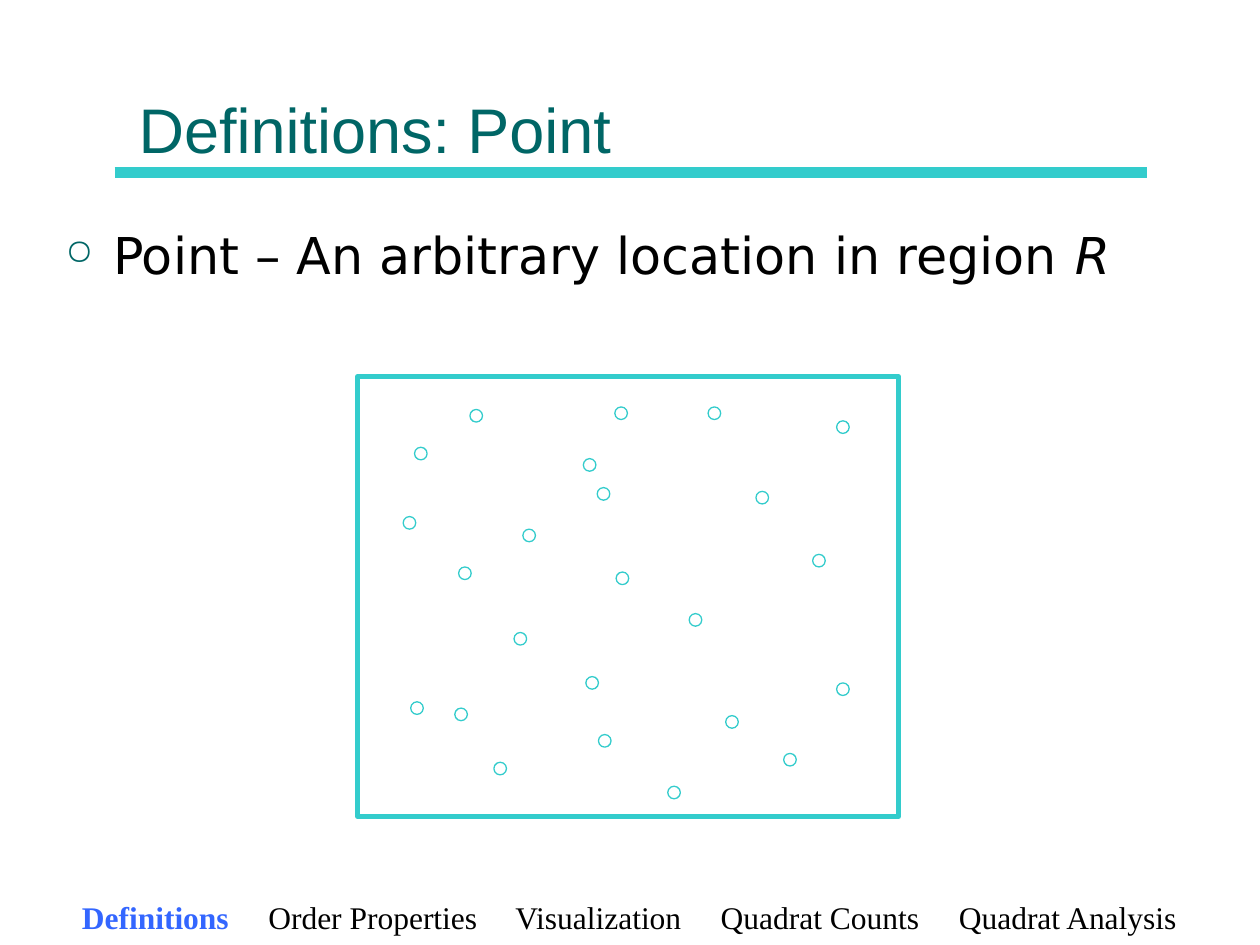
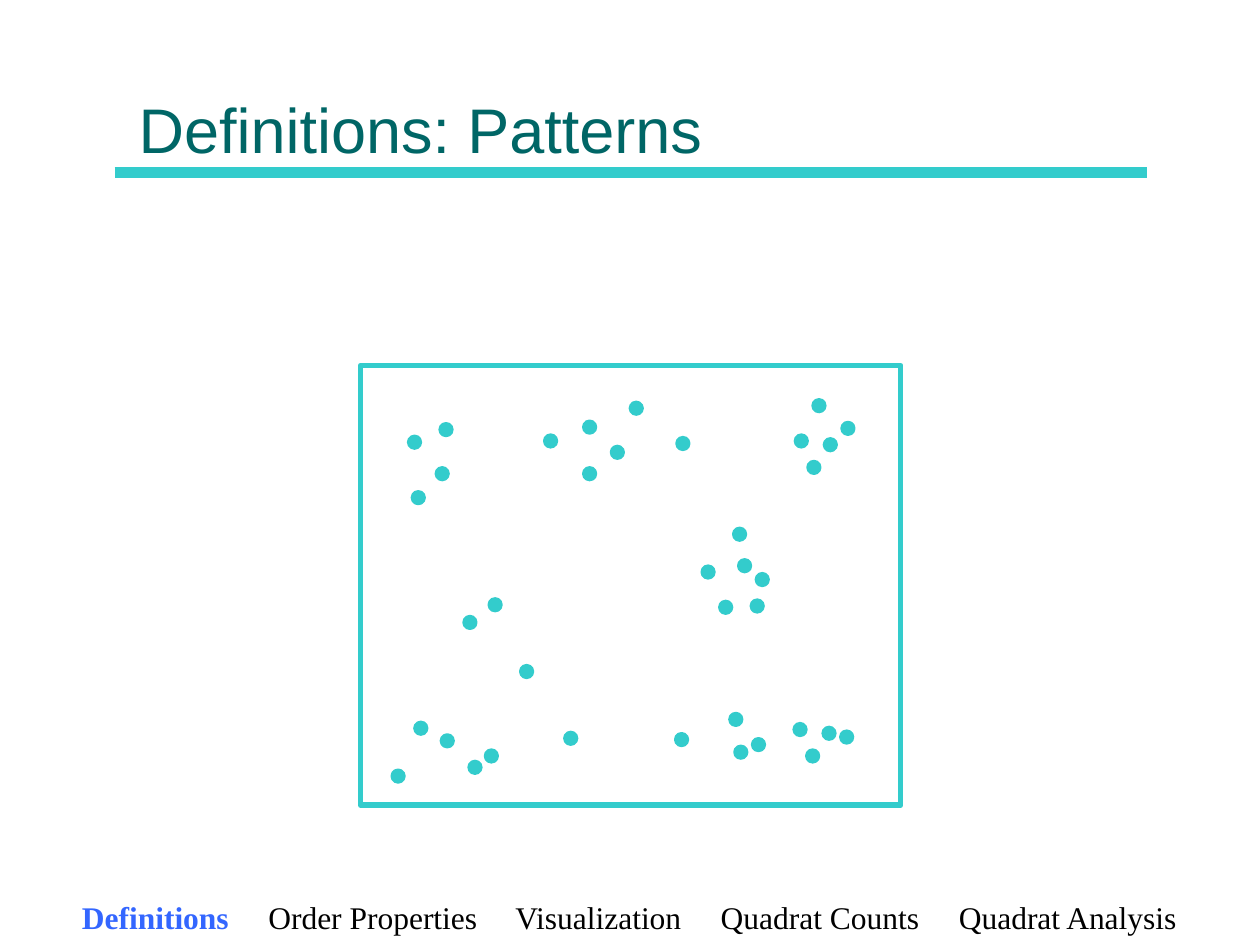
from dataclasses import dataclass
from lxml.etree import SubElement as Sub
from pptx import Presentation
from pptx.dml.color import RGBColor as Rgb
from pptx.enum.shapes import MSO_CONNECTOR as Link, MSO_SHAPE as Kind
from pptx.enum.text import MSO_ANCHOR as Anchor, MSO_AUTO_SIZE as Fit, PP_ALIGN as Align
from pptx.oxml.ns import qn
from pptx.util import Cm, Pt

INCH = 2.54
TABS = ("Definitions", "Order Properties", "Visualization", "Quadrat Counts", "Quadrat Analysis")
STOPS = (1.48, 3.44, 5.07, 6.96)

LOOSE = (
    (4.74, 3.87), (4.88, 3.23), (3.73, 3.25), (6.64, 3.34), (4.63, 3.64), (4.65, 5.37),
    (6.22, 5.98), (6, 3.9), (4.15, 4.2), (3.29, 3.55), (4.89, 4.54), (3.2, 4.1),
    (5.3, 6.24), (5.62, 3.23), (4.08, 5.02), (5.76, 5.68), (5.47, 4.87), (4.75, 5.83),
    (6.64, 5.42), (6.45, 4.4), (3.64, 4.5), (3.92, 6.05), (3.61, 5.62), (3.26, 5.57),
)
GROUPED = (
    (3.49, 3.36), (3.46, 3.71), (3.24, 3.46), (3.27, 3.9),
    (4.32, 3.45), (4.63, 3.71), (4.63, 3.34), (4.85, 3.54), (5, 3.19), (5.37, 3.47),
    (6.68, 3.35), (6.31, 3.45), (6.45, 3.17), (6.41, 3.66), (6.54, 3.48),
    (6, 4.55), (5.96, 4.76), (5.57, 4.49), (5.86, 4.44), (5.71, 4.77), (5.82, 4.19),
    (3.88, 4.75), (3.68, 4.89), (4.13, 5.28),
    (3.72, 6.04), (3.29, 5.73), (3.5, 5.83), (3.85, 5.95), (3.11, 6.11),
    (5.97, 5.86), (5.83, 5.92), (5.79, 5.66), (4.48, 5.81), (5.36, 5.82),
    (6.67, 5.8), (6.3, 5.74), (6.4, 5.95), (6.53, 5.77),
)


@dataclass(frozen=True)
class Theme:
    teal: str = "33CCCC"
    deep: str = "006666"
    blue: str = "3366FF"
    black: str = "000000"
    head: int = 36
    body: int = 29
    foot: int = 18
    sans: str = "Arial"
    wide: str = "DejaVu Sans"
    serif: str = "Times New Roman"


def size(n):
    return Cm(n * INCH)


def apply(item, **vals):
    for key, val in vals.items():
        setattr(item, key, val)


class Deck:
    def __init__(self, theme):
        self.theme = theme
        self.deck = Presentation()
        apply(self.deck, slide_width=size(10), slide_height=size(7.5))

    def words(self, para, text, hue, **vals):
        run = para.add_run()
        run.text = text
        run.font.color.rgb = Rgb.from_string(hue)
        apply(run.font, **vals)

    def frame(self, shape, **vals):
        apply(shape.text_frame, word_wrap=True, auto_size=Fit.NONE, margin_left=size(0.1),
              margin_right=size(0.1), margin_top=size(0.05), margin_bottom=size(0.05))
        apply(shape.text_frame, **vals)
        para = shape.text_frame.paragraphs[0]
        para.alignment = Align.LEFT
        return para

    def box(self, *place, **vals):
        return self.frame(self.slide.shapes.add_textbox(*map(size, place)), **vals)

    def stroke(self, line, width):
        line.color.rgb = Rgb.from_string(self.theme.teal)
        line.width = Pt(width)

    def start(self, title):
        look = self.theme
        self.slide = self.deck.slides.add_slide(self.deck.slide_layouts[5])
        head = self.slide.shapes.title
        apply(head, left=size(1), top=size(0.12), width=size(8), height=size(1.25))
        para = self.frame(head, vertical_anchor=Anchor.BOTTOM)
        self.words(para, title, look.deep, name=look.sans, size=Pt(look.head))
        self.rule()
        self.footer()

    def rule(self):
        ends = map(size, (0.91, 1.37, 9.1, 1.37))
        bar = self.slide.shapes.add_connector(Link.STRAIGHT, *ends)
        self.stroke(bar.line, 6)
        Sub(bar._element.spPr, qn("a:effectLst"))

    def footer(self):
        look = self.theme
        para = self.box(0.4, 7.08, 9.19, 0.4, margin_left=size(0.25))
        stops = Sub(para._p.get_or_add_pPr(), qn("a:tabLst"))
        for stop in STOPS:
            Sub(stops, qn("a:tab"), pos=str(size(stop)), algn="l")
        font = dict(name=look.serif, size=Pt(look.foot))
        self.words(para, TABS[0], look.blue, bold=True, **font)
        self.words(para, "".join("\t" + tab for tab in TABS[1:]), look.black, bold=False, **font)

    def bullet(self, text, end):
        look = self.theme
        para = self.box(0.42, 1.73, 9.13, 0.7)
        props = para._p.get_or_add_pPr()
        props.set("marL", str(size(0.38)))
        props.set("indent", str(-size(0.38)))
        Sub(Sub(props, qn("a:buClr")), qn("a:srgbClr"), val=look.deep)
        Sub(props, qn("a:buSzPct"), val="70000")
        Sub(props, qn("a:buChar"), char="○")
        font = dict(name=look.wide, size=Pt(look.body))
        self.words(para, text, look.black, **font)
        self.words(para, end, look.black, italic=True, **font)

    def shape(self, kind, place, width, solid=False):
        item = self.slide.shapes.add_shape(kind, *map(size, place))
        item.shadow.inherit = False
        self.stroke(item.line, width)
        if solid:
            item.fill.solid()
            item.fill.fore_color.rgb = Rgb.from_string(self.theme.teal)
        else:
            item.fill.background()

    def region(self, left, top, points, width, solid=False):
        self.shape(Kind.RECTANGLE, (left, top, 4.29, 3.49), 3)
        for point in points:
            self.shape(Kind.OVAL, (*point, 0.1, 0.1), width, solid)


def main():
    show = Deck(Theme())
    show.start("Definitions: Point")
    show.bullet("Point – An arbitrary location in region ", "R")
    show.region(2.84, 2.99, LOOSE, 0.75)
    show.start("Definitions: Patterns")
    show.region(2.86, 2.9, GROUPED, 1.5, solid=True)
    show.deck.save("out.pptx")


if __name__ == "__main__":
    main()
